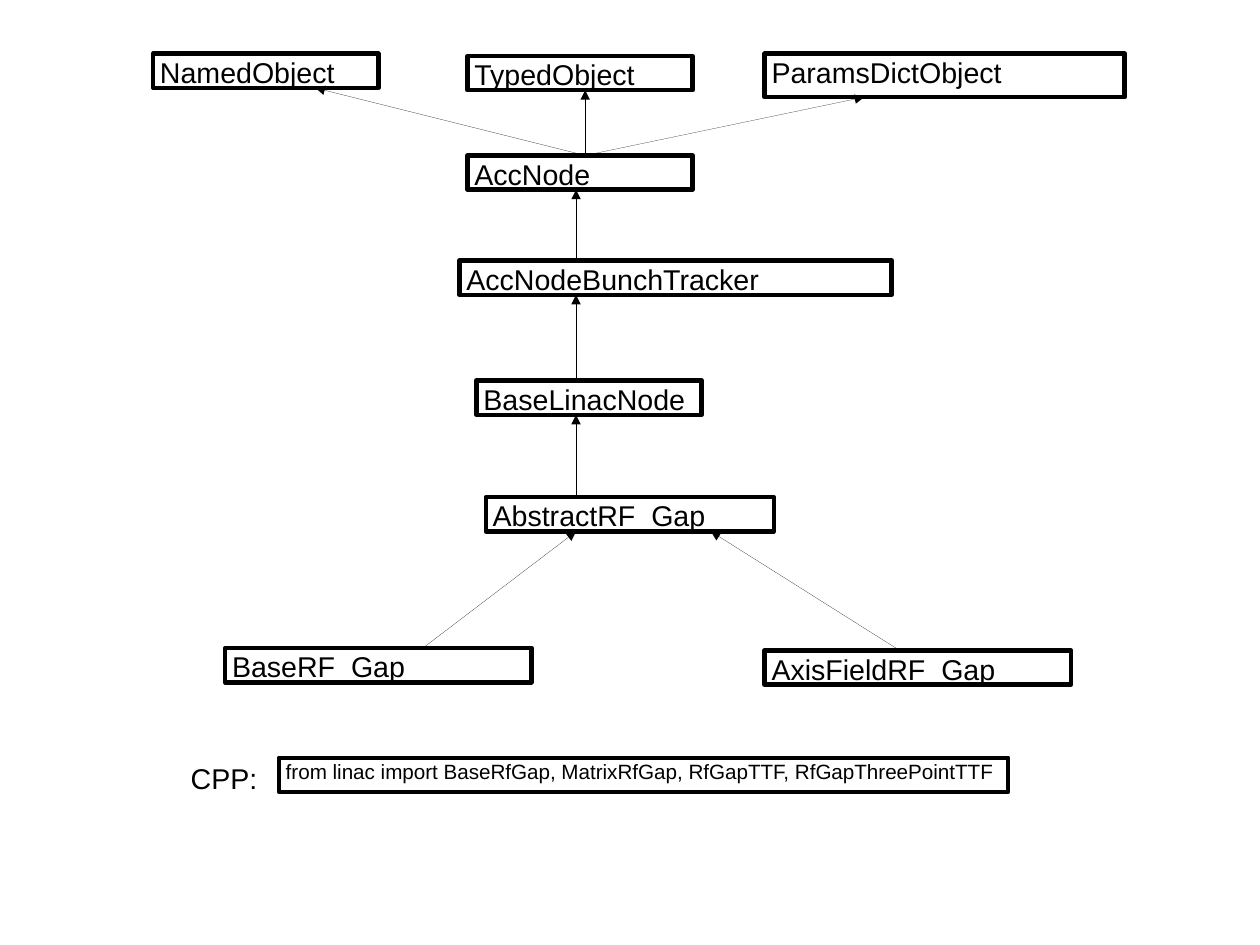
from lxml import etree
from pptx import Presentation
from pptx.dml.color import RGBColor
from pptx.enum.shapes import MSO_CONNECTOR, MSO_SHAPE
from pptx.enum.text import MSO_ANCHOR, MSO_AUTO_SIZE, PP_ALIGN
from pptx.oxml.ns import qn
from pptx.util import Inches, Pt

BLACK = RGBColor(0x00, 0x00, 0x00)
RECTANGLE = MSO_SHAPE.RECTANGLE
STRAIGHT = MSO_CONNECTOR.STRAIGHT
TOP = MSO_ANCHOR.TOP
LEFT = PP_ALIGN.LEFT
GROW = MSO_AUTO_SIZE.SHAPE_TO_FIT_TEXT

FONT = "Arial"
CM_PER_INCH = 2.54
BOX_HEIGHT = 0.3

CLASSES = [
    ("NamedObject", 1.34, 0.47, 1.97, BOX_HEIGHT),
    ("TypedObject", 4.09, 0.49, 1.97, BOX_HEIGHT),
    ("ParamsDictObject", 6.69, 0.47, 3.15, 0.38),
    ("AccNode", 4.09, 1.36, 1.97, BOX_HEIGHT),
    ("AccNodeBunchTracker", 4.02, 2.28, 3.78, BOX_HEIGHT),
    ("BaseLinacNode", 4.17, 3.33, 1.97, BOX_HEIGHT),
    ("AbstractRF_Gap", 4.25, 4.35, 2.52, BOX_HEIGHT),
    ("BaseRF_Gap", 1.97, 5.67, 2.68, BOX_HEIGHT),
    ("AxisFieldRF_Gap", 6.69, 5.69, 2.68, BOX_HEIGHT),
]

INHERITANCE = [
    ("AccNode", 5.12, "TypedObject", 5.12),
    ("AccNode", 5.12, "ParamsDictObject", 7.56),
    ("AccNode", 5.12, "NamedObject", 2.76),
    ("AccNodeBunchTracker", 5.04, "AccNode", 5.04),
    ("BaseLinacNode", 5.04, "AccNodeBunchTracker", 5.04),
    ("AbstractRF_Gap", 5.04, "BaseLinacNode", 5.04),
    ("BaseRF_Gap", 3.7, "AbstractRF_Gap", 5.04),
    ("AxisFieldRF_Gap", 7.87, "AbstractRF_Gap", 6.22),
]


def write_text(frame, text, size):
    frame.text = text
    frame.vertical_anchor = TOP
    frame.auto_size = GROW
    paragraph = frame.paragraphs[0]
    paragraph.alignment = LEFT
    font = paragraph.runs[0].font
    font.name = FONT
    font.size = Pt(size)
    font.color.rgb = BLACK


def add_box(slide, text, left, top, width, height, size=18):
    box = slide.shapes.add_shape(
        RECTANGLE, Inches(left), Inches(top), Inches(width), Inches(height))
    box.shadow.inherit = False
    box.fill.background()
    box.line.color.rgb = BLACK
    box.line.width = Pt(2.83)
    frame = box.text_frame
    frame.word_wrap = True
    frame.margin_left = frame.margin_right = Inches(0.06)
    frame.margin_top = frame.margin_bottom = Inches(0.01)
    write_text(frame, text, size)
    return box


def add_label(slide, text, left, top, width, height):
    label = slide.shapes.add_textbox(
        Inches(left), Inches(top), Inches(width), Inches(height))
    label.text_frame.word_wrap = False
    write_text(label.text_frame, text, 18)


def add_inheritance(slide, child, child_x, parent, parent_x):
    arrow = slide.shapes.add_connector(
        STRAIGHT, Inches(child_x), child.top,
        Inches(parent_x), parent.top + parent.height)
    arrow.line.color.rgb = BLACK
    outline = arrow._element.spPr.find(qn("a:ln"))
    outline.set("w", "0")
    etree.SubElement(outline, qn("a:tailEnd"), type="triangle")
    etree.SubElement(arrow._element.spPr, qn("a:effectLst"))


def main():
    presentation = Presentation()
    presentation.slide_width = Inches(28 / CM_PER_INCH)
    presentation.slide_height = Inches(21 / CM_PER_INCH)
    slide = presentation.slides.add_slide(presentation.slide_layouts[6])

    boxes = {name: add_box(slide, name, *place) for name, *place in CLASSES}
    for child, child_x, parent, parent_x in INHERITANCE:
        add_inheritance(slide, boxes[child], child_x, boxes[parent], parent_x)

    add_box(slide,
            "from linac import BaseRfGap, MatrixRfGap, RfGapTTF, RfGapThreePointTTF",
            2.44, 6.63, 6.38, BOX_HEIGHT, size=13)
    add_label(slide, "CPP:", 1.57, 6.61, 0.8, 0.38)

    presentation.save("out.pptx")


if __name__ == "__main__":
    main()
